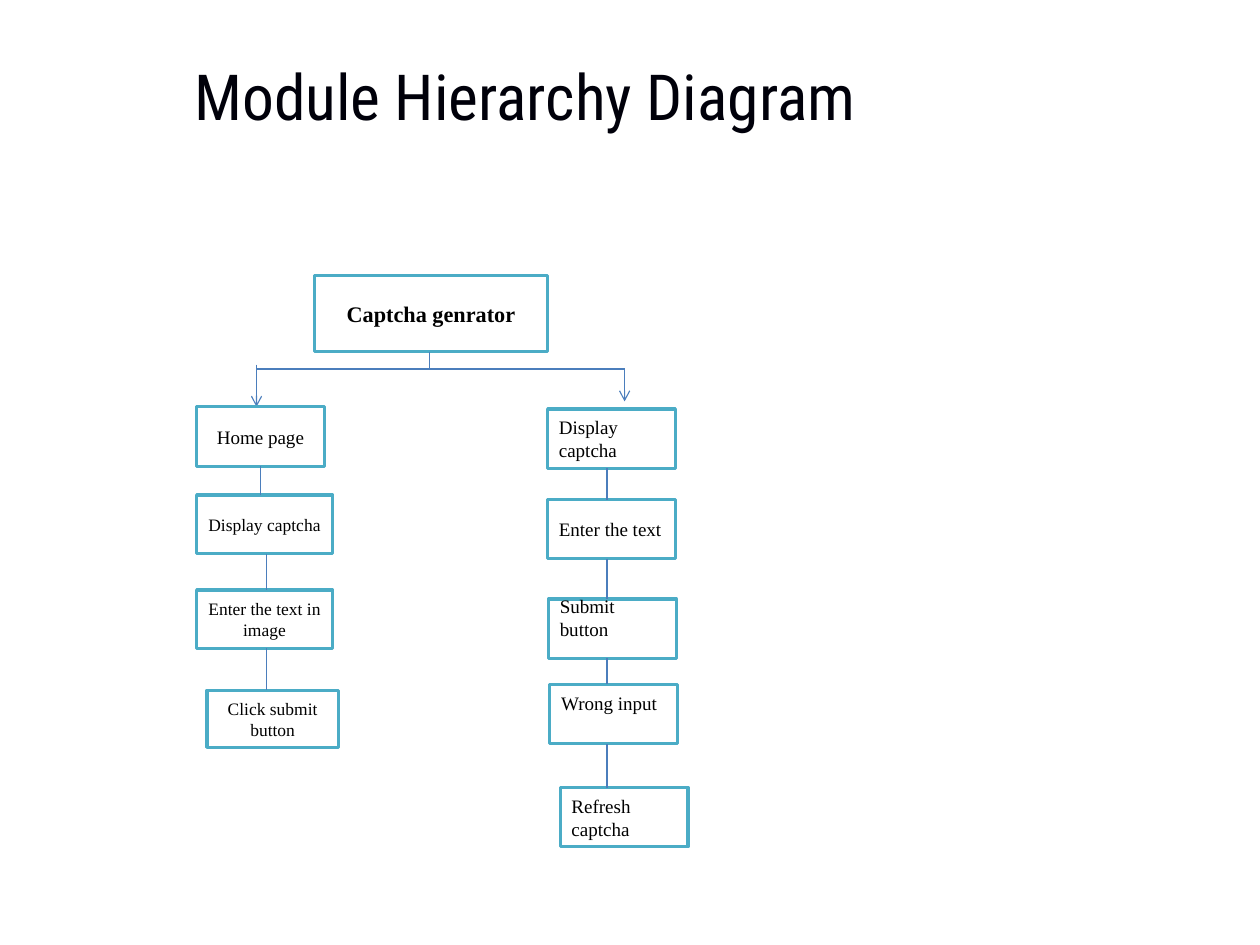
"""Build the module hierarchy diagram slide."""
from collections import namedtuple
from itertools import pairwise

from lxml.etree import SubElement
from pptx import Presentation
from pptx.dml.color import RGBColor
from pptx.enum.shapes import MSO_CONNECTOR as Connector, MSO_SHAPE as Shape
from pptx.enum.text import MSO_ANCHOR as Anchor, PP_ALIGN as Align
from pptx.oxml.ns import qn
from pptx.util import Cm, Pt

Module = namedtuple("Module", "text left top width height spine lifted", defaults=[False])

TITLE = "Module Hierarchy Diagram"
ROOT = Module("Captcha genrator", 6.99, 6.12, 5.18, 1.7, 9.55)
HOME_BRANCH = [
    Module("Home page", 4.37, 9.04, 2.84, 1.32, 5.79),
    Module("Display captcha", 4.37, 11, 3.02, 1.3, 5.92),
    Module("Enter the text in image", 4.37, 13.11, 3.02, 1.3, 5.92),
    Module("Click submit button", 4.6, 15.34, 2.92, 1.27, 5.92),
]
CAPTCHA_BRANCH = [
    Module("Display captcha", 12.17, 9.09, 2.84, 1.32, 13.49),
    Module("Enter the text", 12.17, 11.1, 2.84, 1.32, 13.49),
    Module("Submit button", 12.19, 13.31, 2.84, 1.32, 13.49, True),
    Module("Wrong input", 12.22, 15.21, 2.84, 1.32, 13.49, True),
    Module("Refresh captcha", 12.45, 17.5, 2.84, 1.32, 13.49),
]
BAR_Y = 8.2
ARROWS = [(5.7, 8.1, 9.04), (13.88, BAR_Y, 8.92)]

THEME = {
    "title_font": "Roboto Condensed", "body_font": "Times New Roman",
    "title": RGBColor.from_string("00000A"), "text": RGBColor.from_string("000000"),
    "fill": RGBColor.from_string("FFFFFF"), "border": RGBColor.from_string("4BACC6"),
    "line": RGBColor.from_string("4B7EBC"),
    "title_size": Pt(40), "root_size": Pt(14), "size": Pt(12), "small_size": Pt(11),
    "border_width": Pt(2), "line_width": Pt(0.75),
}


def write(shape, text, font_name, size, color, align, bold=False):
    """Fill a shape with one formatted paragraph."""
    frame = shape.text_frame
    frame.word_wrap = True
    frame.text = text
    paragraph = frame.paragraphs[0]
    paragraph.alignment = align
    font = paragraph.runs[0].font
    font.name, font.size, font.bold = font_name, size, bold
    font.color.rgb = color


def add_title(slide):
    """Add the slide heading."""
    box = slide.shapes.add_textbox(Cm(4.32), Cm(1.27), Cm(19.3), Cm(1.65))
    frame = box.text_frame
    frame.margin_left = frame.margin_right = frame.margin_top = frame.margin_bottom = 0
    write(box, TITLE, THEME["title_font"], THEME["title_size"], THEME["title"], Align.LEFT)


def add_module(slide, module, size, align, bold=False):
    """Add one bordered module box."""
    area = (module.left, module.top, module.width, module.height)
    box = slide.shapes.add_shape(Shape.RECTANGLE, *map(Cm, area))
    box.shadow.inherit = False
    box.fill.solid()
    box.fill.fore_color.rgb = THEME["fill"]
    box.line.color.rgb = THEME["border"]
    box.line.width = THEME["border_width"]
    write(box, module.text, THEME["body_font"], size, THEME["text"], align, bold)
    box.text_frame.vertical_anchor = Anchor.MIDDLE
    if module.lifted:
        box.text_frame.margin_bottom = Cm(0.61)


def add_line(slide, x1, y1, x2, y2, arrow=False):
    """Add a thin straight connector, with an optional arrowhead."""
    line = slide.shapes.add_connector(Connector.STRAIGHT, *map(Cm, (x1, y1, x2, y2)))
    line.line.color.rgb = THEME["line"]
    line.line.width = THEME["line_width"]
    if arrow:
        SubElement(line.line._get_or_add_ln(), qn("a:tailEnd"), type="arrow")
    SubElement(line._element.spPr, qn("a:effectLst"))


def add_branch(slide, modules, sizes, align):
    """Stack a column of modules and join each one to the next."""
    for module, size in zip(modules, sizes):
        add_module(slide, module, size, align)
    for upper, lower in pairwise(modules):
        add_line(slide, upper.spine, upper.top + upper.height, upper.spine, lower.top)


def main():
    """Create and save the presentation."""
    presentation = Presentation()
    presentation.slide_width, presentation.slide_height = Cm(28), Cm(21)
    slide = presentation.slides.add_slide(presentation.slide_layouts[6])
    add_title(slide)
    add_module(slide, ROOT, THEME["root_size"], Align.CENTER, bold=True)
    add_line(slide, ROOT.spine, ROOT.top + ROOT.height, ROOT.spine, BAR_Y)
    add_line(slide, ARROWS[0][0], BAR_Y, ARROWS[1][0], BAR_Y)
    for x, top, bottom in ARROWS:
        add_line(slide, x, top, x, bottom, arrow=True)
    home_sizes = [THEME["size"]] + [THEME["small_size"]] * 3
    add_branch(slide, HOME_BRANCH, home_sizes, Align.CENTER)
    add_branch(slide, CAPTCHA_BRANCH, [THEME["size"]] * len(CAPTCHA_BRANCH), Align.LEFT)
    presentation.save("out.pptx")


if __name__ == "__main__":
    main()
